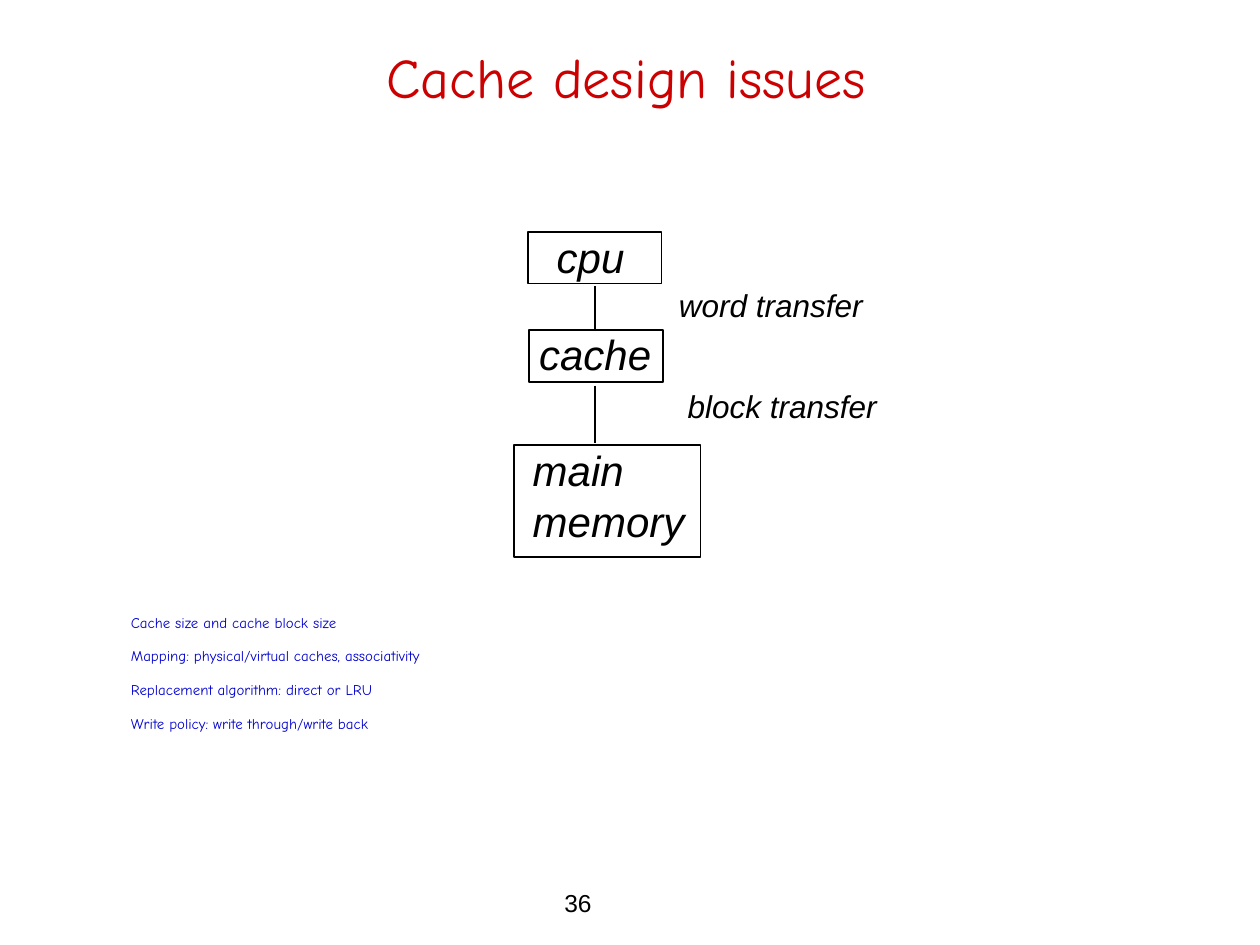
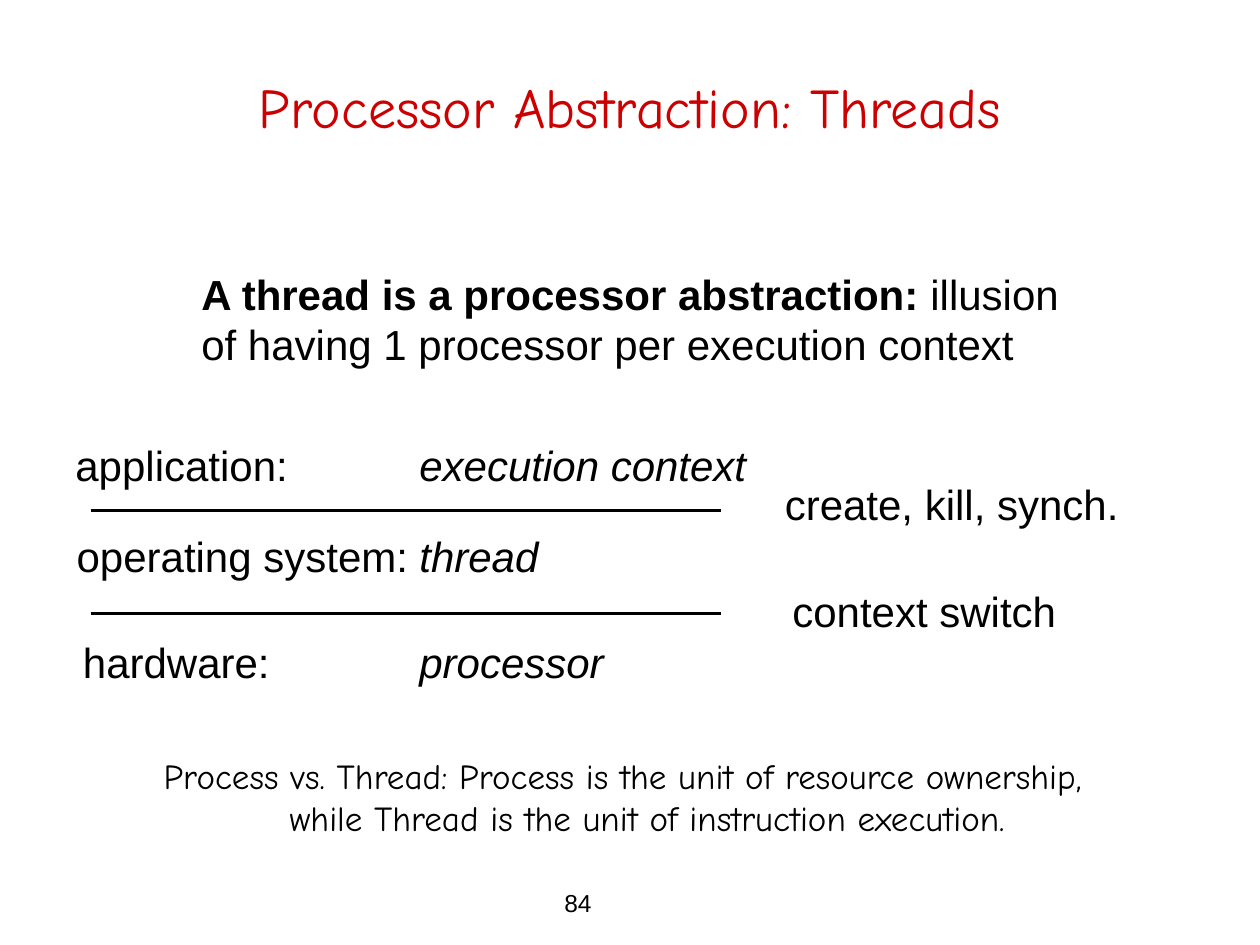
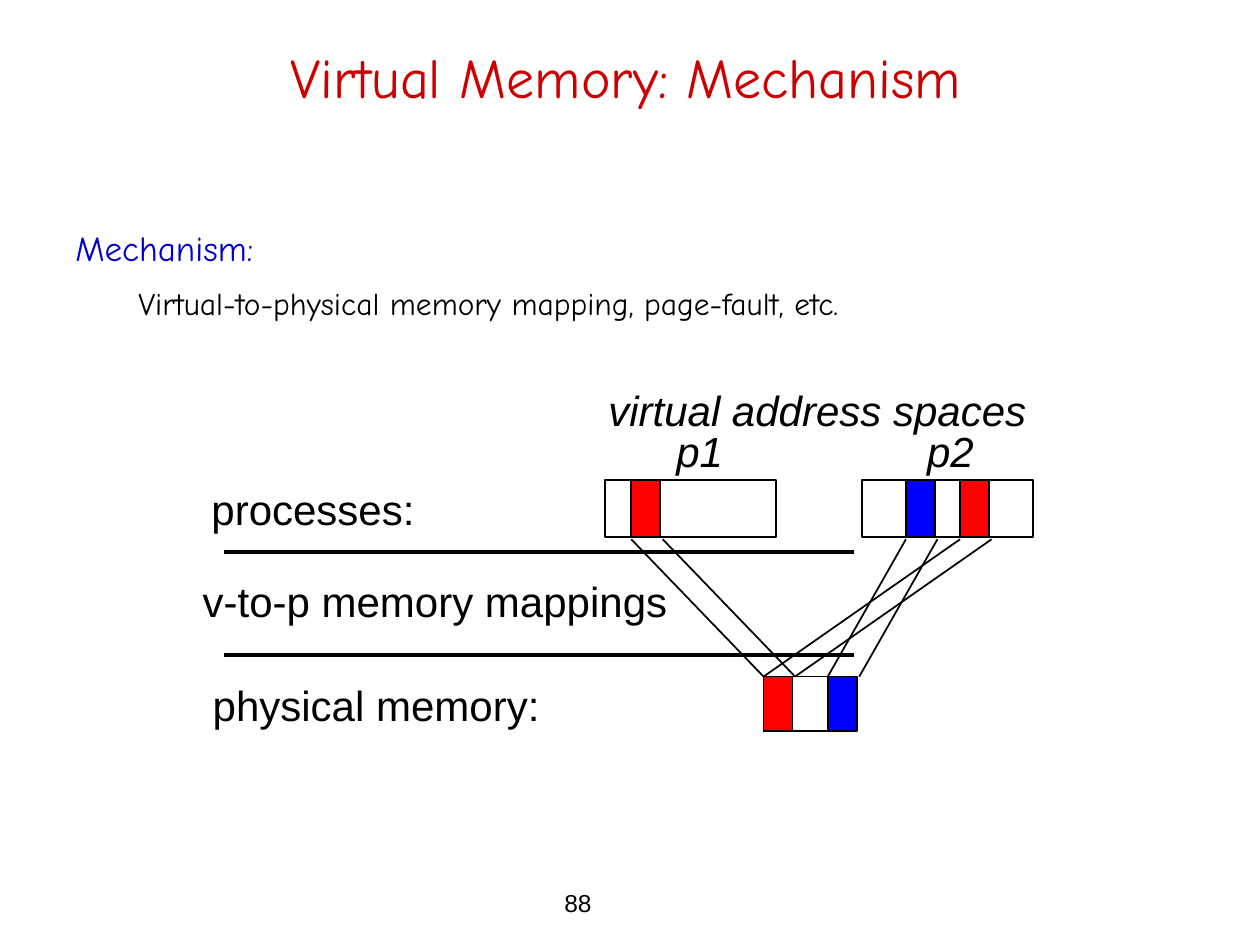
from pptx import Presentation
from pptx.dml.color import RGBColor
from pptx.enum.shapes import MSO_CONNECTOR, MSO_SHAPE
from pptx.enum.text import MSO_ANCHOR, MSO_AUTO_SIZE, PP_ALIGN
from pptx.oxml.ns import qn
from pptx.util import Inches, Pt
from lxml import etree

BLACK = RGBColor(0x00, 0x00, 0x00)
WHITE = RGBColor(0xFF, 0xFF, 0xFF)
TITLE_RED = RGBColor(0xCC, 0x00, 0x00)
HEADING_BLUE = RGBColor(0x00, 0x00, 0xCC)
PAGE_RED = RGBColor(0xFF, 0x00, 0x00)
PAGE_BLUE = RGBColor(0x00, 0x00, 0xFF)

LABEL = {"name": "Arial", "size": Pt(24), "color": BLACK}
ITALIC = {**LABEL, "italic": True}
BOLD = {**LABEL, "bold": True}
SMALL_ITALIC = {**ITALIC, "size": Pt(18)}
NUMBER = {**LABEL, "size": Pt(14)}
TITLE = {"name": "Comic Neue", "size": Pt(32), "color": TITLE_RED}
ISSUE = {**TITLE, "size": Pt(8.5), "color": HEADING_BLUE}
HEADING = {**TITLE, "size": Pt(20), "color": HEADING_BLUE}
DETAIL = {**TITLE, "size": Pt(18), "color": BLACK}
REMARK = {**DETAIL, "size": Pt(20)}

TITLE_BOX = (0.44, 0.17, 9.06, 0.75)
TEXT_INSET = 0.1
LABEL_SLACK = 0.06
RULE_LENGTH = 5
RULE_GAP = 0.82
PAGE_WIDTH = 0.23


def format_font(font, style):
    for attribute, value in style.items():
        if attribute == "color":
            font.color.rgb = value
        else:
            setattr(font, attribute, value)


def add_text(slide, box, paragraphs, wrap=True, space_before=0):
    """Add a text box; each paragraph is a list of (text, style) runs."""
    shape = slide.shapes.add_textbox(*map(Inches, box))
    frame = shape.text_frame
    frame.word_wrap = wrap
    frame.auto_size = MSO_AUTO_SIZE.NONE if wrap else MSO_AUTO_SIZE.SHAPE_TO_FIT_TEXT
    for index, runs in enumerate(paragraphs):
        paragraph = frame.add_paragraph() if index else frame.paragraphs[0]
        if index and space_before:
            paragraph.space_before = Pt(space_before)
        for text, style in runs:
            run = paragraph.add_run()
            run.text = text
            format_font(run.font, style)
    return frame


def add_label(slide, box, text, style=LABEL):
    """Add unwrapped lines, in a box slightly wider than its text."""
    left, top, width, height = box
    return add_text(slide, (left, top, width + LABEL_SLACK, height),
                    [[(line, style)] for line in text.split("\n")], wrap=False)


def indent(paragraph, distance):
    paragraph._p.get_or_add_pPr().set("marL", str(Inches(distance)))


def add_tab_stop(paragraph, position):
    properties = paragraph._p.get_or_add_pPr()
    tab_list = etree.SubElement(properties, qn("a:tabLst"))
    etree.SubElement(tab_list, qn("a:tab"), pos=str(Inches(position)), algn="l")


def add_box(slide, box, fill=WHITE):
    shape = slide.shapes.add_shape(MSO_SHAPE.RECTANGLE, *map(Inches, box))
    shape.shadow.inherit = False
    shape.fill.solid()
    shape.fill.fore_color.rgb = fill
    shape.line.color.rgb = BLACK
    shape.line.width = Pt(1)


def add_line(slide, start, end, width=1):
    connector = slide.shapes.add_connector(
        MSO_CONNECTOR.STRAIGHT, *map(Inches, start + end))
    connector.line.color.rgb = BLACK
    connector.line.width = Pt(width)
    etree.SubElement(connector._element.spPr, qn("a:effectLst"))


def add_layer_rules(slide, left, top):
    for y in (top, top + RULE_GAP):
        add_line(slide, (left, y), (left + RULE_LENGTH, y), 2)


def start_slide(presentation, title, number, title_box=TITLE_BOX):
    slide = presentation.slides.add_slide(presentation.slide_layouts[6])
    add_label(slide, (4.38, 7, 1.09, 0.34), str(number), NUMBER)
    frame = add_text(slide, title_box, [[(title, TITLE)]])
    frame.vertical_anchor = MSO_ANCHOR.BOTTOM
    frame.paragraphs[0].alignment = PP_ALIGN.CENTER
    return slide


def draw_memory_hierarchy(slide, left, top):
    levels = [
        ("cpu", (0.11, 0.05, 1.06, 0.41), (0.24, 0, 0.74, 0.5)),
        ("cache", (0.12, 0.83, 1.06, 0.41), (0.1, 0.77, 1.09, 0.5)),
        ("main\nmemory", (0, 1.74, 1.48, 0.89), (0.05, 1.69, 1.4, 0.9)),
    ]
    for name, outline, text_area in levels:
        outline_box, text_box = [(left + x, top + y, width, height)
                                 for x, y, width, height in (outline, text_area)]
        add_box(slide, outline_box)
        add_label(slide, text_box, name, ITALIC)
    transfers = [("word transfer", 0.48, 0.84, 1.21, 0.43, 1.66),
                 ("block transfer", 1.27, 1.73, 1.28, 1.23, 1.7)]
    for name, start, end, x, y, width in transfers:
        add_line(slide, (left + 0.64, top + start), (left + 0.64, top + end))
        add_label(slide, (left + x, top + y, width, 0.4), name, SMALL_ITALIC)


def build_cache_slide(presentation):
    slide = start_slide(presentation, "Cache design issues", 36)
    issues = [
        "Cache size and cache block size",
        "Mapping: physical/virtual caches, associativity",
        "Replacement algorithm: direct or LRU",
        "Write policy: write through/write back",
    ]
    add_text(slide, (0.94, 4.82, 8.36, 1.03),
             [[(issue, ISSUE)] for issue in issues], space_before=9)
    draw_memory_hierarchy(slide, 4.08, 1.79)


def draw_thread_layers(slide, left, top):
    abstraction_column = 2.83
    add_layer_rules(slide, left + 0.22, top + 0.61)
    layers = [("application:", "execution context", 0, 0),
              ("operating system:", "thread", 0.01, 0.72),
              ("hardware:", "processor", 0.06, 1.56)]
    for layer, abstraction, x, y in layers:
        frame = add_text(slide, (left + x, top + y, 5.65, 0.5),
                         [[(layer + "\t", LABEL), (abstraction, ITALIC)]])
        add_tab_stop(frame.paragraphs[0], abstraction_column - x - TEXT_INSET)
    add_label(slide, (left + 5.63, top + 0.31, 2.85, 0.5), "create, kill, synch.")
    add_label(slide, (left + 5.69, top + 1.16, 2.29, 0.5), "context switch")


def build_threads_slide(presentation):
    slide = start_slide(presentation, "Processor Abstraction: Threads", 84,
                        (0.25, 0.17, 9.5, 0.99))
    add_text(slide, (1.5, 2.08, 7.17, 0.9), [[
        ("A thread is a processor abstraction: ", BOLD),
        ("illusion of having 1 processor per execution context", LABEL)]])
    draw_thread_layers(slide, 0.5, 3.44)
    remark = add_label(
        slide, (1.2, 5.94, 7.61, 0.77),
        "Process vs. Thread: Process is the unit of resource ownership,\n"
        "while Thread is the unit of instruction execution.", REMARK)
    indent(remark.paragraphs[1], 1)


def draw_memory(slide, box, pages):
    """Draw a strip of memory with pages given as (offset, colour)."""
    left, top, width, height = box
    add_box(slide, box)
    for offset, color in pages:
        add_box(slide, (left + offset, top, PAGE_WIDTH, height), color)


def draw_address_mapping(slide, left, top):
    strip_top, physical_top = top + 0.81, top + 2.37
    strip_height = 0.45
    add_layer_rules(slide, left + 0.36, top + 1.38)
    layers = [("processes:", 0.16, 0.79, 2.66),
              ("v-to-p memory mappings", 0.09, 1.52, 3.89),
              ("physical memory:", 0.17, 2.34, 3.11)]
    for name, x, y, width in layers:
        add_label(slide, (left + x, top + y, width, 0.5), name)

    draw_memory(slide, (left + 3.38, strip_top, 1.36, strip_height), [(0.21, PAGE_RED)])
    draw_memory(slide, (left + 5.42, strip_top, 1.36, strip_height),
                [(0.35, PAGE_BLUE), (0.78, PAGE_RED)])
    draw_memory(slide, (left + 4.64, physical_top, 0.73, 0.43),
                [(0, PAGE_RED), (0.51, PAGE_BLUE)])

    mappings = [(3.59, 4.64), (5.77, 5.15), (6.2, 4.64)]
    for virtual_x, physical_x in mappings:
        for edge in (0, PAGE_WIDTH + 0.02):
            add_line(slide, (left + virtual_x + edge, strip_top + strip_height + 0.02),
                     (left + physical_x + edge, physical_top))

    add_label(slide, (left + 3.31, top, 3.51, 0.5), "virtual address spaces", ITALIC)
    for name, x in (("p1", 3.85), ("p2", 5.84)):
        add_label(slide, (left + x, top + 0.33, 0.57, 0.5), name, ITALIC)


def build_virtual_memory_slide(presentation):
    slide = start_slide(presentation, "Virtual Memory: Mechanism", 88)
    body = add_text(slide, (0.5, 1.75, 8.94, 2.36), [
        [("Mechanism:", HEADING)],
        [("Virtual-to-physical memory mapping, page-fault, etc.", DETAIL)],
    ], space_before=9)
    indent(body.paragraphs[1], 0.5)
    draw_address_mapping(slide, 1.42, 3)


def main():
    presentation = Presentation()
    presentation.slide_width = Inches(10)
    presentation.slide_height = Inches(7.5)
    build_cache_slide(presentation)
    build_threads_slide(presentation)
    build_virtual_memory_slide(presentation)
    presentation.save("out.pptx")


if __name__ == "__main__":
    main()
